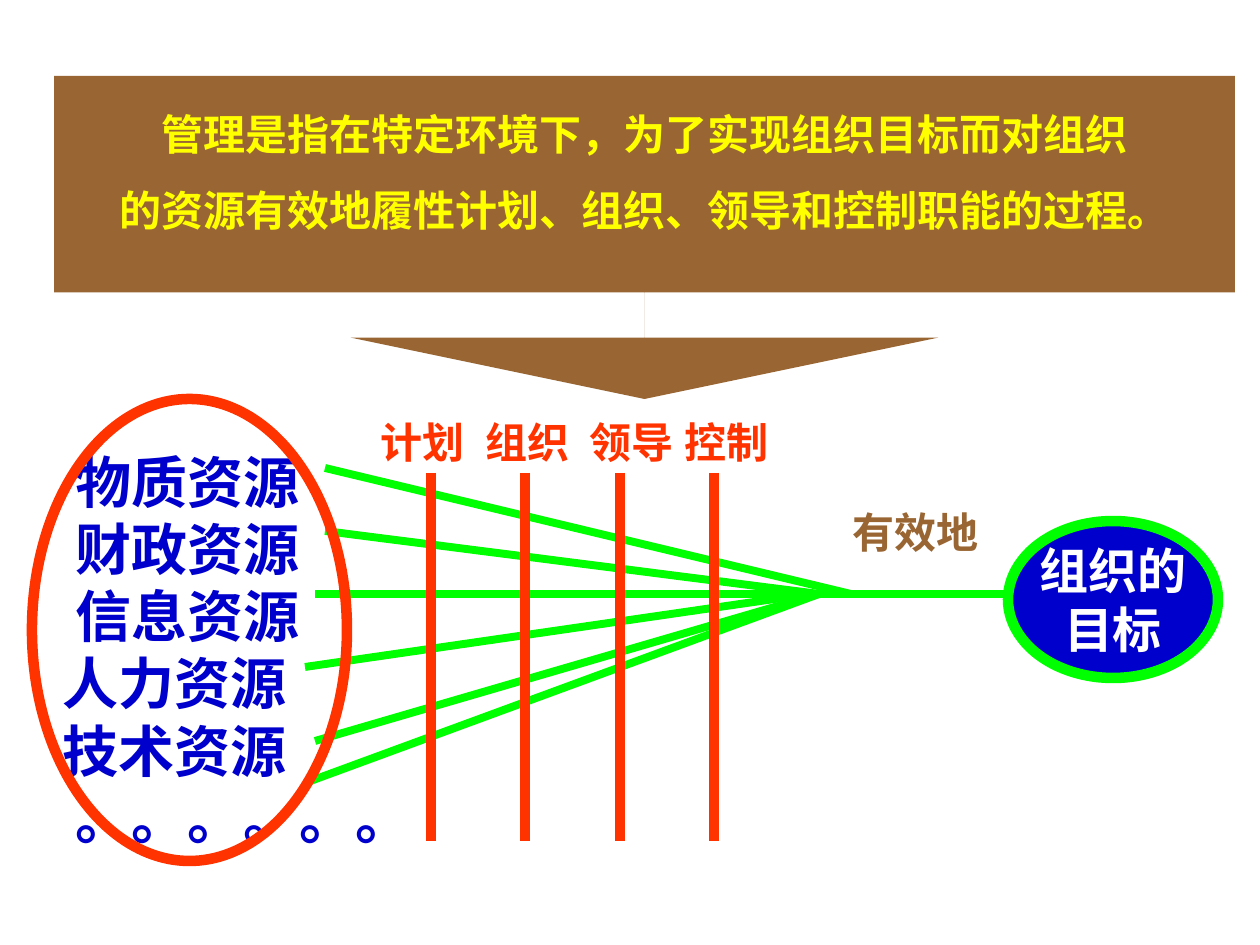
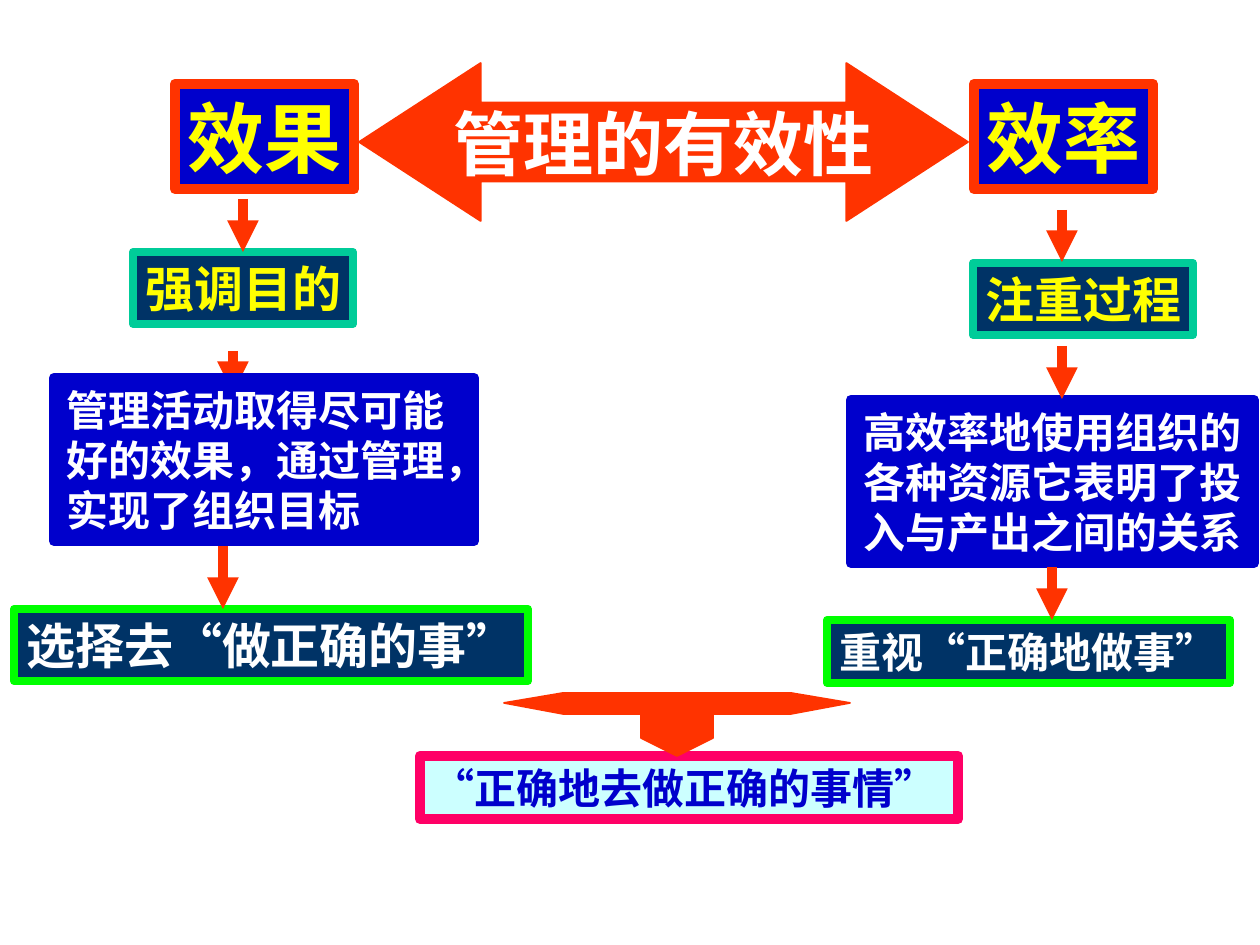
from dataclasses import dataclass

from lxml import etree
from pptx import Presentation
from pptx.dml.color import RGBColor
from pptx.enum.lang import MSO_LANGUAGE_ID
from pptx.enum.shapes import MSO_CONNECTOR, MSO_SHAPE
from pptx.enum.text import MSO_ANCHOR, PP_ALIGN
from pptx.oxml.ns import qn
from pptx.util import Emu, Pt

RECT = MSO_SHAPE.RECTANGLE
OVAL = MSO_SHAPE.OVAL
CALLOUT = MSO_SHAPE.DOWN_ARROW_CALLOUT
DOUBLE_ARROW = MSO_SHAPE.LEFT_RIGHT_ARROW
STRAIGHT = MSO_CONNECTOR.STRAIGHT
LEFT, CENTER = PP_ALIGN.LEFT, PP_ALIGN.CENTER
TOP, MIDDLE = MSO_ANCHOR.TOP, MSO_ANCHOR.MIDDLE
CHINESE = MSO_LANGUAGE_ID.SIMPLIFIED_CHINESE


@dataclass(frozen=True)
class Theme:
    font: str = "Times New Roman"
    white: str = "FFFFFF"
    yellow: str = "FFFF00"
    brown: str = "996633"
    blue: str = "0000CC"
    navy: str = "003366"
    red: str = "FF3300"
    green: str = "00FF00"
    teal: str = "00CC99"
    pink: str = "FF0066"
    ice: str = "CCFFFF"
    body: int = 24
    label: int = 28
    resource: int = 32
    title: int = 40
    keyword: int = 44
    hairline: float = 1
    medium: float = 4.5
    thick: float = 6


THEME = Theme()


def px(length):
    return Emu(round(length * 914400 / 126))


def rgb(color):
    return RGBColor.from_string(color)


def paint(shape, fill=None, line=None, width=THEME.thick):
    shape.shadow.inherit = False
    if fill:
        shape.fill.solid()
        shape.fill.fore_color.rgb = rgb(fill)
    else:
        shape.fill.background()
    if line:
        shape.line.color.rgb = rgb(line)
        shape.line.width = Pt(width)
    else:
        shape.line.fill.background()


def write(shape, lines, size, color, align=LEFT, anchor=TOP, wrap=False,
          spacing=None, indents=None, bottom=6):
    frame = shape.text_frame
    frame.word_wrap = wrap
    frame.vertical_anchor = anchor
    frame.margin_bottom = px(bottom)
    frame.text = "\n".join(lines)
    for index, paragraph in enumerate(frame.paragraphs):
        paragraph.alignment = align
        if spacing:
            paragraph.line_spacing = spacing
        if indents:
            paragraph._p.get_or_add_pPr().set("marL", str(px(indents[index])))
        font = paragraph.font
        font.name = THEME.font
        font.size = Pt(size)
        font.bold = True
        font.color.rgb = rgb(color)
        font.language_id = CHINESE


def add_figure(slide, kind, box, fill=None, line=None, width=THEME.thick,
               adjustments=()):
    figure = slide.shapes.add_shape(kind, *map(px, box))
    for index, value in enumerate(adjustments):
        figure.adjustments[index] = value
    paint(figure, fill, line, width)
    return figure


def add_panel(slide, box, lines, size, color, fill, line, width=THEME.thick, wrap=False):
    panel = add_figure(slide, RECT, box, fill, line, width)
    write(panel, lines, size, color, wrap=wrap)


def add_label(slide, box, lines, size, color, **layout):
    write(slide.shapes.add_textbox(*map(px, box)), lines, size, color, **layout)


def add_line(slide, start, end, color, width, arrow=False):
    line = slide.shapes.add_connector(STRAIGHT, *map(px, (*start, *end)))
    line.line.color.rgb = rgb(color)
    line.line.width = Pt(width)
    if arrow:
        etree.SubElement(line.line._get_or_add_ln(), qn("a:tailEnd"), type="triangle")
    etree.SubElement(line._element.spPr, qn("a:effectLst"))


def add_mirrored_outline(slide, axis, half, color):
    points = half + [(2 * axis - x, y) for x, y in reversed(half)]
    builder = slide.shapes.build_freeform(*map(px, points[0]), scale=1.0)
    builder.add_line_segments([(px(x), px(y)) for x, y in points[1:]], close=True)
    paint(builder.convert_to_shape(), color, color, THEME.hairline)


def build_definition(slide):
    goal = add_figure(slide, OVAL, (1008, 521, 210, 157), THEME.blue, THEME.green)
    write(goal, ["组织的", "目标"], THEME.label, THEME.white, CENTER, MIDDLE)

    resources = ["物质资源", "财政资源", "信息资源", "人力资源", "技术资源", "。。。。。。"]
    add_label(slide, (0, 441, 1260, 484), resources, THEME.resource, THEME.blue,
              wrap=True, indents=[63, 63, 63, 50, 50, 63])

    definition = add_figure(slide, CALLOUT, (54, 76, 1181, 323), THEME.brown,
                            adjustments=(0, 0.91, 0.19, 0.67))
    write(definition,
          ["管理是指在特定环境下，为了实现组织目标而对组织",
           "的资源有效地履性计划、组织、领导和控制职能的过程。"],
          THEME.body, THEME.yellow, CENTER, MIDDLE, spacing=1.5, bottom=57)

    flows = [((315, 594), (1008, 594)), ((325, 468), (851, 594)),
             ((305, 783), (819, 594)), ((325, 531), (819, 594)),
             ((305, 667), (809, 594)), ((315, 741), (819, 594))]
    for start, end in flows:
        add_line(slide, start, end, THEME.green, THEME.medium)

    functions = [("计划", 368), ("组织", 473), ("领导", 577), ("控制", 672)]
    for index, (function, left) in enumerate(functions):
        x = 431 + index * 189 // 2
        add_line(slide, (x, 473), (x, 841), THEME.red, THEME.thick)
        add_label(slide, (left, 410, 109, 63), [function], THEME.body, THEME.red)

    add_label(slide, (840, 500, 151, 63), ["有效地"], THEME.body, THEME.brown)
    add_figure(slide, OVAL, (32, 399, 315, 462), line=THEME.red)


def build_effectiveness(slide):
    theme = THEME
    banner = add_figure(slide, DOUBLE_ARROW, (359, 63, 609, 158), theme.red, theme.red,
                        theme.hairline, adjustments=(0.5, 0.77))
    write(banner, ["管理的有效性"], theme.title, theme.white, CENTER, MIDDLE)

    for focus, left, top in [("强调目的", 133, 252), ("注重过程", 973, 263)]:
        add_panel(slide, (left, top, 220, 72), [focus], theme.label, theme.yellow,
                  theme.navy, theme.teal, theme.medium)

    add_panel(slide, (851, 400, 403, 163),
              ["高效率地使用组织的", "各种资源它表明了投", "入与产出之间的关系"],
              theme.body, theme.white, theme.blue, theme.blue)

    choices = [("选择去“做正确的事”", (14, 609, 514, 72), theme.label),
               ("重视“正确地做事”", (827, 620, 403, 63), theme.body)]
    for choice, box, size in choices:
        add_panel(slide, box, [choice], size, theme.white,
                  theme.navy, theme.green, theme.medium)

    add_panel(slide, (420, 756, 538, 63), ["“正确地去做正确的事情”"],
              theme.body, theme.blue, theme.ice, theme.pink)

    steps = [(243, 199, 252), (1062, 210, 262), (233, 351, 393),
             (1062, 346, 399), (223, 546, 609), (1052, 567, 620)]
    for x, top, bottom in steps:
        add_line(slide, (x, top), (x, bottom), theme.red, theme.thick, arrow=True)

    add_mirrored_outline(slide, 677,
                         [(677, 756), (641, 738), (641, 714), (563, 714),
                          (504, 703), (563, 693)], theme.red)

    for keyword, left in [("效率", 974), ("效果", 175)]:
        add_panel(slide, (left, 84, 179, 105), [keyword], theme.keyword, theme.yellow,
                  theme.blue, theme.red)

    add_panel(slide, (54, 378, 420, 163),
              ["管理活动取得尽可能", "好的效果，通过管理，实现了组织目标"],
              theme.body, theme.white, theme.blue, theme.blue, wrap=True)


def main():
    deck = Presentation()
    deck.slide_width, deck.slide_height = px(1260), px(945)
    blank = deck.slide_layouts[6]
    for build in (build_definition, build_effectiveness):
        build(deck.slides.add_slide(blank))
    deck.save("out.pptx")


if __name__ == "__main__":
    main()
